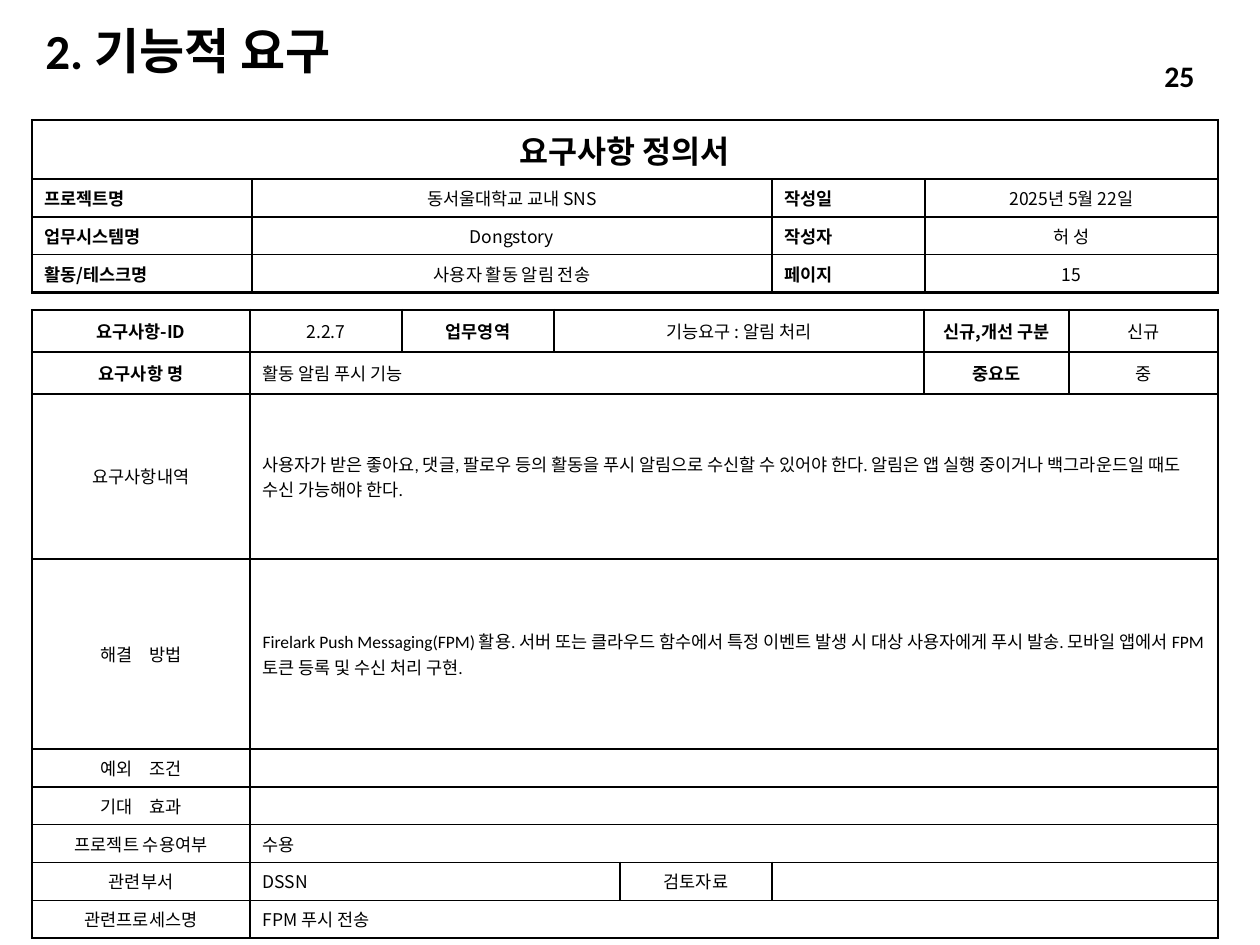
"""Build the requirement definition slide for activity notifications."""
from lxml import etree
from pptx import Presentation
from pptx.dml.color import RGBColor
from pptx.enum.text import MSO_ANCHOR, PP_ALIGN
from pptx.oxml.ns import qn
from pptx.util import Pt

PX = 914400 / 126
LEFT, CENTER, RIGHT, JUSTIFY = PP_ALIGN.LEFT, PP_ALIGN.CENTER, PP_ALIGN.RIGHT, PP_ALIGN.JUSTIFY
TOP, MIDDLE = MSO_ANCHOR.TOP, MSO_ANCHOR.MIDDLE
COLORS = {"ink": "000000"}
LATIN, HANGUL = "Calibri", "Noto Sans CJK KR"
THIN, THICK = 1, 1.5

# style: alignment, bold, size, font
STYLES = {
    "title": (CENTER, True, 18, HANGUL),
    "label": (JUSTIFY, True, 10, HANGUL),
    "head": (CENTER, True, 10, HANGUL),
    "value": (CENTER, False, 10, HANGUL),
    "entry": (LEFT, False, 10, HANGUL),
    "body": (LEFT, False, 10, LATIN),
}


def write(p, text, align, bold, size, font):
    p.text = text
    p.alignment = align
    p.font.name, p.font.size, p.font.bold = font, Pt(size), bold
    p.font.color.rgb = RGBColor.from_string(COLORS["ink"])
    if not text:
        p._p.get_or_add_endParaRPr().set("sz", str(size * 100))


def set_borders(cell, widths):
    tc_pr = cell._tc.get_or_add_tcPr()
    for side, width in widths.items():
        ln = etree.SubElement(tc_pr, qn(f"a:ln{side}"), w=str(int(Pt(width))))
        if width:
            fill = etree.SubElement(ln, qn("a:solidFill"))
            etree.SubElement(fill, qn("a:srgbClr"), val=COLORS["ink"])
        else:
            etree.SubElement(ln, qn("a:noFill"))


# cell: text, style, columns spanned
requirement_rows = [
    [("요구사항-ID", "head", 1), ("2.2.7", "value", 1), ("업무영역", "head", 1),
     ("기능요구 : 알림 처리", "value", 3), ("신규,개선 구분", "head", 1), ("신규", "value", 1)],
    [("요구사항 명", "head", 1), ("활동 알림 푸시 기능", "entry", 5),
     ("중요도", "head", 1), ("중", "value", 1)],
    [("요구사항내역", "value", 1),
     ("사용자가 받은 좋아요, 댓글, 팔로우 등의 활동을 푸시 알림으로 수신할 수 있어야 한다. "
      "알림은 앱 실행 중이거나 백그라운드일 때도 수신 가능해야 한다.", "body", 7)],
    [("해결　방법", "value", 1),
     ("Firelark Push Messaging(FPM) 활용. 서버 또는 클라우드 함수에서 특정 이벤트 발생 시 "
      "대상 사용자에게 푸시 발송. 모바일 앱에서 FPM 토큰 등록 및 수신 처리 구현.", "body", 7)],
    [("예외　조건", "value", 1), ("", "entry", 7)],
    [("기대　효과", "value", 1), ("", "entry", 7)],
    [("프로젝트 수용여부", "value", 1), ("수용", "entry", 7)],
    [("관련부서", "value", 1), ("DSSN", "entry", 3), ("검토자료", "value", 1), ("", "entry", 3)],
    [("관련프로세스명", "value", 1), ("FPM 푸시 전송", "entry", 7)],
]
project_rows = [[("요구사항 정의서", "title", 4)]] + [
    [(name, "label", 1), (value, "value", 1), (name2, "label", 1), (value2, "value", 1)]
    for name, value, name2, value2 in [
        ("프로젝트명", "동서울대학교 교내 SNS", "작성일", "2025년 5월 22일"),
        ("업무시스템명", "Dongstory", "작성자", "허 성"),
        ("활동/테스크명", "사용자 활동 알림 전송", "페이지", "15"),
    ]
]
# table: top, column widths, row heights, rows, anchor, rows with a thick bottom
tables = [
    (310, [218, 152, 152, 66, 152, 152, 145, 149], [42, 42, 165, 190] + [34] * 5,
     requirement_rows, MIDDLE, {0, 1, 8}),
    (120, [220, 520, 153, 293], [59] + [34] * 3, project_rows, TOP, {3}),
]

prs = Presentation()
prs.slide_width, prs.slide_height = int(1260 * PX), int(945 * PX)
s = prs.slides.add_slide(prs.slide_layouts[6])

for top, widths, heights, rows, anchor, thick_rows in tables:
    frame = s.shapes.add_table(len(heights), len(widths), int(32 * PX), int(top * PX),
                               int(sum(widths) * PX), int(sum(heights) * PX))
    table = frame.table
    table.first_row = table.horz_banding = False
    for column, width in zip(table.columns, widths):
        column.width = int(width * PX)
    for row, height in zip(table.rows, heights):
        row.height = int(height * PX)
    for i, row in enumerate(rows):
        start = 0
        for text, style, span in row:
            end = start + span
            cell = table.cell(i, start)
            if span > 1:
                cell.merge(table.cell(i, end - 1))
            write(cell.text_frame.paragraphs[0], text, *STYLES[style])
            cell.vertical_anchor = MIDDLE if style == "title" else anchor
            for j in range(start, end):
                part = table.cell(i, j)
                outer_right = THICK if end == len(widths) and style != "title" else THIN
                set_borders(part, {
                    "L": 0 if j > start else THIN if j else THICK,
                    "R": outer_right if j in (start, end - 1) else 0,
                    "T": THICK if i == 0 or i - 1 in thick_rows else THIN,
                    "B": THICK if i in thick_rows else THIN,
                })
                part.fill.background()
            start = end

for text, box, align, size in [
    ("2. 기능적 요구", (33, 26, 675, 56), LEFT, 28),
    ("25", (1003, 53, 204, 50), RIGHT, 17),
]:
    tf = s.shapes.add_textbox(*(int(v * PX) for v in box)).text_frame
    tf.word_wrap = True
    tf.vertical_anchor = MIDDLE
    p = tf.paragraphs[0]
    write(p, text, align, True, size, LATIN)
    p.line_spacing = 0.9

prs.save("out.pptx")
